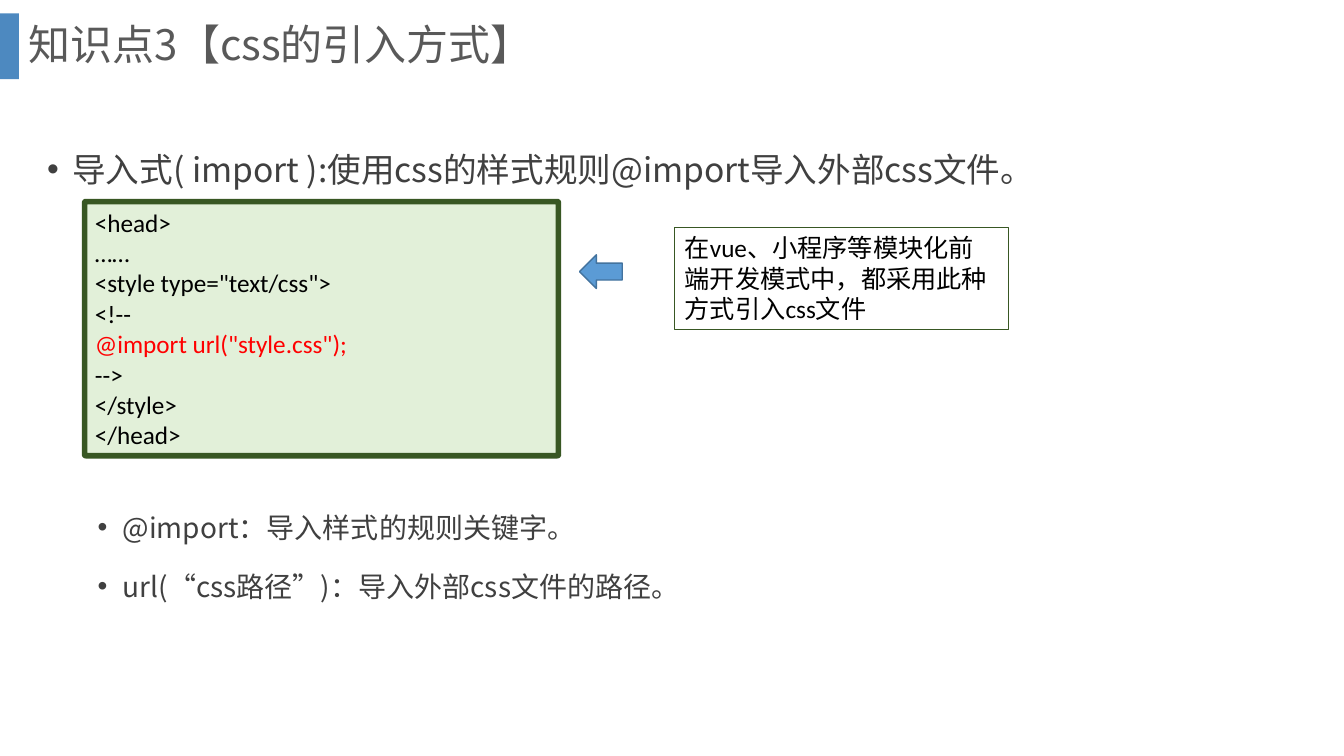
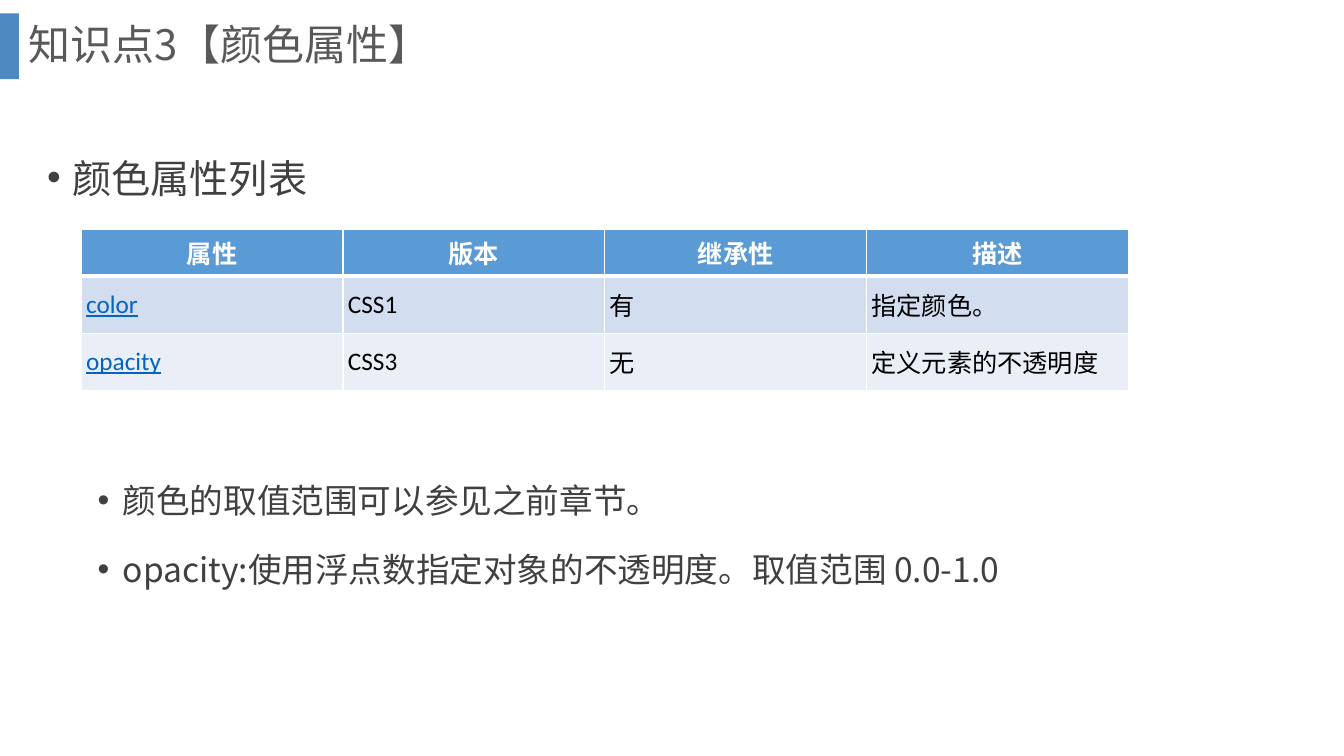
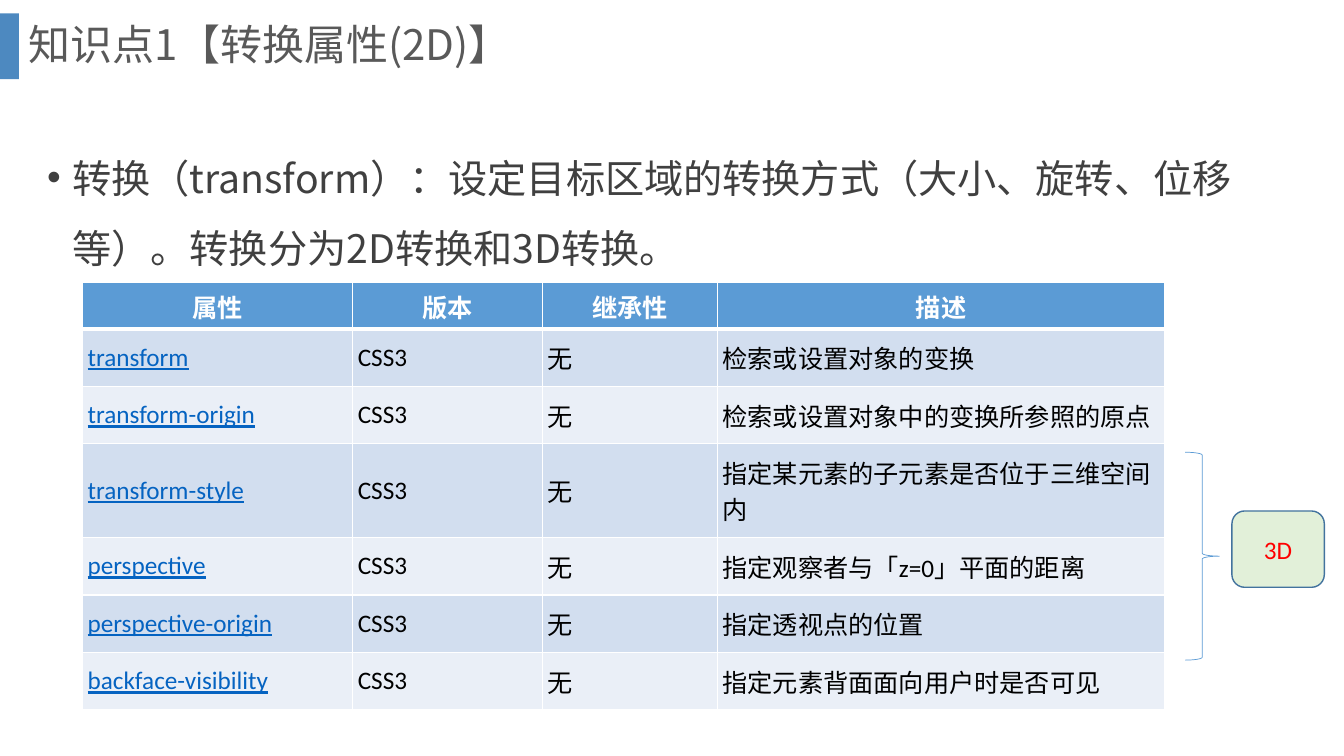
from dataclasses import dataclass

from lxml.etree import SubElement
from pptx import Presentation
from pptx.dml.color import RGBColor
from pptx.enum.shapes import MSO_SHAPE
from pptx.enum.text import MSO_ANCHOR, PP_ALIGN
from pptx.oxml.ns import qn
from pptx.util import Pt

# Content
IMPORT_TITLE = "知识点3【css的引入方式】"
IMPORT_HEAD = ["导入式( import ):使用css的样式规则@import导入外部css文件。"]
IMPORT_CODE = [
    "<head>",
    "……",
    '<style type="text/css">',
    "<!--",
    '@import url("style.css");',
    "-->",
    "</style>",
    "</head>",
]
IMPORT_NOTE = "在vue、小程序等模块化前端开发模式中，都采用此种方式引入css文件"
IMPORT_POINTS = ["@import：导入样式的规则关键字。", "url(“css路径”)：导入外部css文件的路径。"]

COLOR_TITLE = "知识点3【颜色属性】"
COLOR_HEAD = ["颜色属性列表"]
COLOR_ROWS = [
    ("color", "CSS1", "有", "指定颜色。"),
    ("opacity", "CSS3", "无", "定义元素的不透明度"),
]
COLOR_POINTS = [
    "颜色的取值范围可以参见之前章节。",
    "opacity:使用浮点数指定对象的不透明度。取值范围 0.0-1.0",
]

TRANSFORM_TITLE = "知识点1【转换属性(2D)】"
TRANSFORM_HEAD = [
    "转换（transform）：设定目标区域的转换方式（大小、旋转、位移等）。转换分为2D转换和3D转换。"
]
TRANSFORM_ROWS = [
    ("transform", "CSS3", "无", "检索或设置对象的变换"),
    ("transform-origin", "CSS3", "无", "检索或设置对象中的变换所参照的原点"),
    ("transform-style", "CSS3", "无", "指定某元素的子元素是否位于三维空间内"),
    ("perspective", "CSS3", "无", "指定观察者与「z=0」平面的距离"),
    ("perspective-origin", "CSS3", "无", "指定透视点的位置"),
    ("backface-visibility", "CSS3", "无", "指定元素背面面向用户时是否可见"),
]
TABLE_HEADER = ("属性", "版本", "继承性", "描述")


# Theme
@dataclass(frozen=True)
class Theme:
    cjk: str = "Noto Sans CJK SC"
    latin: str = "Calibri"
    band: str = "2E75B6"
    title: str = "595959"
    body: str = "404040"
    black: str = "000000"
    white: str = "FFFFFF"
    red: str = "FF0000"
    link: str = "0563C1"
    blue: str = "5B9BD5"
    blue_edge: str = "43739E"
    green: str = "E2F0D9"
    green_edge: str = "385723"
    stripes: tuple = ("D2DEEF", "EAEFF7")
    title_size: int = 30
    head_size: int = 28
    point_size: int = 24
    small_size: int = 20
    text_size: int = 18
    leading: float = 1.79
    text_pitch: float = 21.7
    header_height: int = 33
    row_height: int = 41
    wrap_height: int = 26


T = Theme()


# Helpers
def rgb(value):
    return RGBColor.from_string(value)


def style(p, size, color, latin=T.latin, ea=T.cjk, bold=False, underline=False):
    for r in p.runs:
        font = r.font
        font.size, font.bold, font.underline = Pt(size), bold, underline
        font.color.rgb = rgb(color)
        font.name = latin
        SubElement(r._r.get_or_add_rPr(), qn("a:ea"), typeface=ea)


def add_shape(s, kind, box, fill=None, line=None, width=1):
    sp = s.shapes.add_shape(kind, *map(Pt, box))
    sp.shadow.inherit = False
    if fill:
        sp.fill.solid()
        sp.fill.fore_color.rgb = rgb(fill)
    else:
        sp.fill.background()
    if line:
        sp.line.color.rgb = rgb(line)
        sp.line.width = Pt(width)
    else:
        sp.line.fill.background()
    return sp


def add_text(s, box):
    tf = s.shapes.add_textbox(*map(Pt, box)).text_frame
    tf.word_wrap = True
    return tf


def set_lines(tf, lines):
    tf.text = "\n".join(lines)
    return tf.paragraphs


def add_bullets(s, lines, box, size, indent=18):
    for i, p in enumerate(set_lines(add_text(s, box), lines)):
        pPr = p._p.get_or_add_pPr()
        pPr.set("marL", str(Pt(indent)))
        pPr.set("indent", str(-Pt(18)))
        SubElement(pPr, qn("a:buFont"), typeface="Arial")
        SubElement(pPr, qn("a:buChar"), char="•")
        p.line_spacing = Pt(round(size * T.leading))
        if i:
            p.space_before = Pt(6)
        style(p, size, T.body, T.cjk)


def add_code_text(sp, lines):
    tf = sp.text_frame
    tf.word_wrap = True
    tf.vertical_anchor = MSO_ANCHOR.TOP
    for p in set_lines(tf, lines):
        p.alignment = PP_ALIGN.LEFT
        p.line_spacing = Pt(T.text_pitch)
        style(p, T.text_size, T.red if p.text.startswith("@import") else T.black)


def set_borders(cell, bottom):
    tcPr = cell._tc.get_or_add_tcPr()
    for side, width in (("L", 1), ("R", 1), ("T", 1), ("B", bottom)):
        ln = SubElement(tcPr, qn(f"a:ln{side}"), w=str(Pt(width)))
        SubElement(SubElement(ln, qn("a:solidFill")), qn("a:srgbClr"), val=T.white)


def add_property_table(s, rows, left, top, widths, wrapped=()):
    heights = [T.header_height] + [
        T.row_height + (T.wrap_height if row[0] in wrapped else 0) for row in rows
    ]
    box = (left, top, sum(widths), sum(heights))
    table = s.shapes.add_table(len(heights), len(widths), *map(Pt, box)).table
    for column, width in zip(table.columns, widths):
        column.width = Pt(width)
    for i, (values, height) in enumerate(zip([TABLE_HEADER, *rows], heights)):
        table.rows[i].height = Pt(height)
        header = i == 0
        for j, value in enumerate(values):
            cell = table.cell(i, j)
            set_borders(cell, 3 if header else 1)
            cell.fill.solid()
            cell.fill.fore_color.rgb = rgb(T.blue if header else T.stripes[(i - 1) % 2])
            cell.vertical_anchor = MSO_ANCHOR.MIDDLE
            cell.margin_left = cell.margin_right = Pt(3.6)
            cell.margin_top = cell.margin_bottom = Pt(3.6 if header else 7.2)
            cell.text = value
            p = cell.text_frame.paragraphs[0]
            p.alignment = PP_ALIGN.CENTER if header else PP_ALIGN.LEFT
            link = not header and j == 0
            color = T.white if header else T.link if link else T.black
            style(p, T.text_size, color, bold=header, underline=link)


def new_slide(prs, title):
    s = prs.slides.add_slide(prs.slide_layouts[6])
    band = add_shape(s, MSO_SHAPE.RECTANGLE, (0, 9.5, 13.6, 47), T.band)
    SubElement(band.fill._xPr.find(".//" + qn("a:srgbClr")), qn("a:alpha"), val="85000")
    tf = add_text(s, (13.6, 0, 911.5, 67))
    tf.vertical_anchor = MSO_ANCHOR.MIDDLE
    tf.text = title
    p = tf.paragraphs[0]
    p.line_spacing = 0.9
    style(p, T.title_size, T.title, T.cjk)
    return s


# Slides
def import_slide(prs):
    s = new_slide(prs, IMPORT_TITLE)
    add_bullets(s, IMPORT_HEAD, (26.6, 88.7, 867.6, 50), T.point_size)
    code = add_shape(s, MSO_SHAPE.ROUNDED_RECTANGLE, (60.5, 144, 338.4, 181.5),
                     T.green, T.green_edge, 4)
    code.adjustments[0] = 0.004
    add_code_text(code, IMPORT_CODE)
    note = add_shape(s, MSO_SHAPE.RECTANGLE, (482, 162.5, 238.3, 72.7),
                     line=T.green_edge, width=0.75)
    add_code_text(note, [IMPORT_NOTE])
    add_shape(s, MSO_SHAPE.LEFT_ARROW, (414, 182, 30.5, 24), T.blue, T.blue_edge)
    add_bullets(s, IMPORT_POINTS, (26.6, 349, 867.6, 86), T.small_size, 54)


def color_slide(prs):
    s = new_slide(prs, COLOR_TITLE)
    add_bullets(s, COLOR_HEAD, (26.6, 90, 867.6, 58), T.head_size)
    add_property_table(s, COLOR_ROWS, 58, 164, [187] * 4)
    add_bullets(s, COLOR_POINTS, (26.6, 325, 867.6, 100), T.point_size, 54)


def transform_slide(prs):
    s = new_slide(prs, TRANSFORM_TITLE)
    add_bullets(s, TRANSFORM_HEAD, (26.6, 90, 867.6, 108), T.head_size)
    add_property_table(s, TRANSFORM_ROWS, 59, 202, (193, 135.5, 125, 319.5),
                       wrapped=("transform-style",))
    add_shape(s, MSO_SHAPE.RIGHT_BRACE, (846.5, 323, 24.5, 148.5), line=T.blue, width=0.5)
    label = add_shape(s, MSO_SHAPE.ROUNDED_RECTANGLE, (880, 365, 66, 54.5),
                      T.green, T.blue_edge)
    tf = label.text_frame
    tf.vertical_anchor = MSO_ANCHOR.MIDDLE
    tf.text = "3D"
    p = tf.paragraphs[0]
    p.alignment = PP_ALIGN.CENTER
    style(p, T.text_size, T.red)


def main():
    prs = Presentation()
    prs.slide_width, prs.slide_height = Pt(960), Pt(540)
    import_slide(prs)
    color_slide(prs)
    transform_slide(prs)
    prs.save("out.pptx")


if __name__ == "__main__":
    main()
